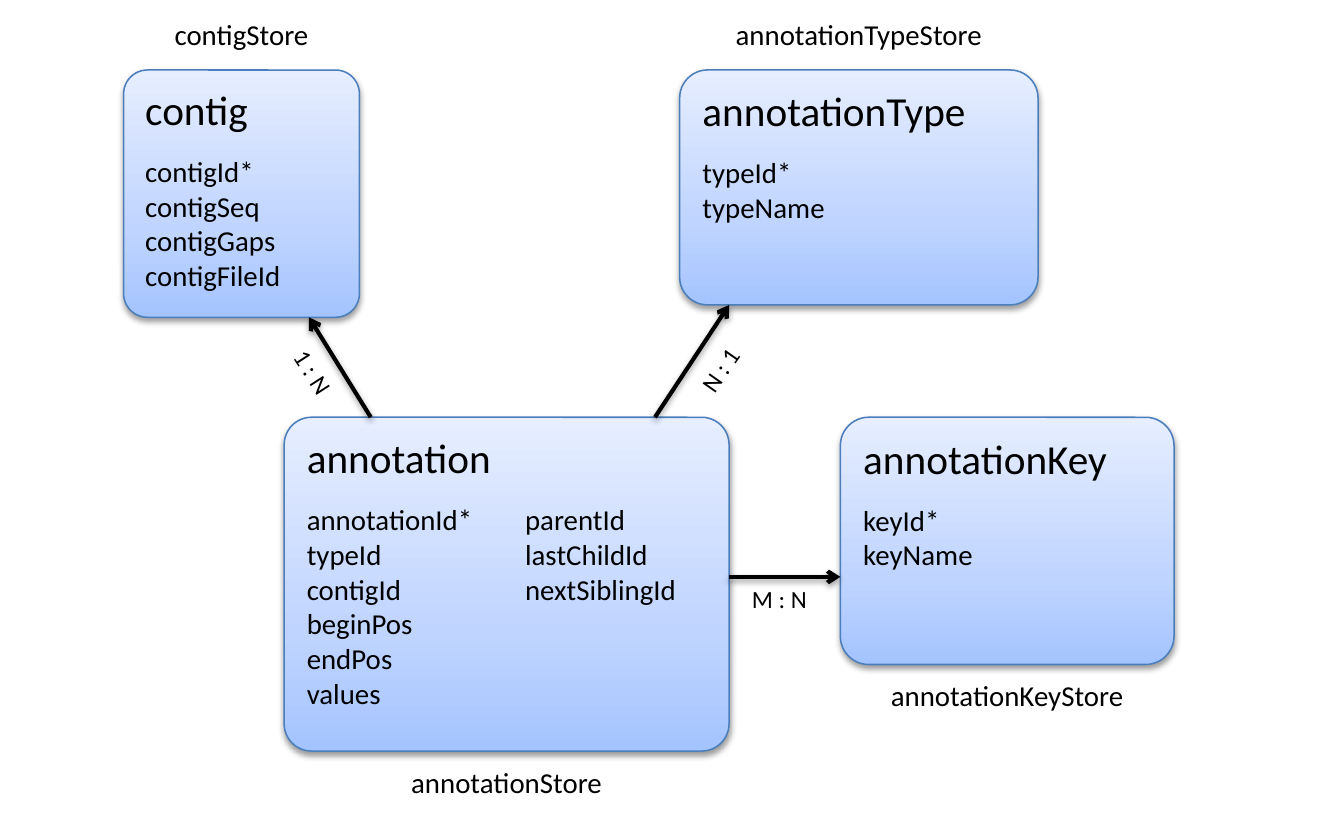
from lxml import etree
from pptx import Presentation
from pptx import util as u
from pptx.dml.color import RGBColor
from pptx.enum import shapes, text
from pptx.oxml import ns

# Content: name, (left, top, width, height), corner, fields, store label, label side
TABLES = [
    ("annotationType", (330, 34, 174, 114), 0.119,
     ["typeId*", "typeName"], "annotationTypeStore", "above"),
    ("contig", (60, 34, 114.5, 120), 0.101,
     ["contigId*", "contigSeq", "contigGaps", "contigFileId"], "contigStore", "above"),
    ("annotation", (138, 202.5, 216, 162), 0.082,
     ["annotationId*\tparentId", "typeId\tlastChildId", "contigId\tnextSiblingId",
      "beginPos", "endPos", "values"], "annotationStore", "below"),
    ("annotationKey", (408, 202.5, 162, 120), 0.115,
     ["keyId*", "keyName"], "annotationKeyStore", "below"),
]
# Relations: start, end, label, label left and top, label width, rotation
RELATIONS = [
    ((180, 202.5), (150, 154), "1 : N", (132.5, 172), 42, 57.2),
    ((318, 202.5), (354, 148), "N : 1", (330, 166.5), 42, 304.9),
    ((354, 280), (408, 280), "M : N", (358, 280), 43, 0),
]
COLORS = {"text": "000000", "edge": "4B7EBC", "arrow": "000000", "shadow": "000000",
          "low": "A4C4FF", "middle": "BFD4FF", "high": "E6EEFF"}
GRADIENT = [(0, "low"), (35, "middle"), (100, "high")]
FONT = "Calibri"
TITLE_SIZE, FIELD_SIZE, RELATION_SIZE = 20, 14, 12
FIELD_GAP, COLUMN_TAB = 9.75, 106
LABEL_HEIGHT, RELATION_HEIGHT = 24.5, 21.5
LABEL_RISE, LABEL_DROP = 29.5, 3


def points(*values):
    return [u.Pt(value) for value in values]


def color(name):
    return RGBColor.from_string(COLORS[name])


def apply_format(target, values):
    for name, value in values.items():
        setattr(target, name, value)


def add_child(parent, tag, **attributes):
    child = etree.SubElement(parent, ns.qn(tag))
    for name, value in attributes.items():
        child.set(name, str(value))
    return child


def add_color(parent, name):
    return add_child(parent, "a:srgbClr", val=COLORS[name])


def add_shadow(shape):
    effects = add_child(shape._element.spPr, "a:effectLst")
    shadow = add_child(effects, "a:outerShdw", blurRad=u.Pt(3.1), dist=u.Pt(1.6),
                       dir=5400000, rotWithShape=0)
    add_child(add_color(shadow, "shadow"), "a:alpha", val=38000)


def write(paragraph, words, size, align=text.PP_ALIGN.LEFT):
    paragraph.alignment = align
    run = paragraph.add_run()
    run.text = words
    apply_format(run.font, {"name": FONT, "size": u.Pt(size)})
    run.font.color.rgb = color("text")


def add_label(slide, box, words, size, align, wrap, rotation=0):
    label = slide.shapes.add_textbox(*points(*box))
    label.rotation = rotation
    label.text_frame.word_wrap = wrap
    write(label.text_frame.paragraphs[0], words, size, align)


def fill_gradient(shape):
    shape.fill.gradient()
    shape.fill.gradient_angle = 90
    stops = shape._element.spPr.find(".//" + ns.qn("a:gsLst"))
    for stop in list(stops):
        stops.remove(stop)
    for position, name in GRADIENT:
        add_color(add_child(stops, "a:gs", pos=position * 1000), name)


def add_table_box(slide, name, box, corner, fields):
    shape = slide.shapes.add_shape(shapes.MSO_SHAPE.ROUNDED_RECTANGLE, *points(*box))
    shape.adjustments[0] = corner
    fill_gradient(shape)
    shape.line.color.rgb = color("edge")
    shape.line.width = u.Pt(0.75)
    add_shadow(shape)
    frame = shape.text_frame
    apply_format(frame, {"word_wrap": True, "vertical_anchor": text.MSO_ANCHOR.TOP})
    write(frame.paragraphs[0], name, TITLE_SIZE)
    for index, field in enumerate(fields):
        paragraph = frame.add_paragraph()
        write(paragraph, field, FIELD_SIZE)
        if index == 0:
            paragraph.space_before = u.Pt(FIELD_GAP)
        if "\t" in field:
            tabs = add_child(paragraph._p.get_or_add_pPr(), "a:tabLst")
            add_child(tabs, "a:tab", pos=u.Pt(COLUMN_TAB), algn="l")


def add_arrow(slide, start, end):
    arrow = slide.shapes.add_connector(shapes.MSO_CONNECTOR.STRAIGHT, *points(*start, *end))
    arrow.line.color.rgb = color("arrow")
    arrow.line.width = u.Pt(2)
    add_child(arrow.line._get_or_add_ln(), "a:tailEnd", type="arrow")
    add_shadow(arrow)


def main():
    presentation = Presentation()
    apply_format(presentation, {"slide_width": u.Pt(652.5), "slide_height": u.Pt(396.5)})
    slide = presentation.slides.add_slide(presentation.slide_layouts[6])

    # Table boxes with their store labels
    for name, box, corner, fields, store, side in TABLES:
        add_table_box(slide, name, box, corner, fields)
        left, top, width, height = box
        label_top = top - LABEL_RISE if side == "above" else top + height + LABEL_DROP
        add_label(slide, (left, label_top, width, LABEL_HEIGHT), store, FIELD_SIZE,
                  text.PP_ALIGN.CENTER, True)

    # Relations with their multiplicities
    for start, end, words, corner, width, rotation in RELATIONS:
        add_arrow(slide, start, end)
        add_label(slide, (*corner, width, RELATION_HEIGHT), words, RELATION_SIZE,
                  text.PP_ALIGN.LEFT, False, rotation)

    presentation.save("out.pptx")


if __name__ == "__main__":
    main()
